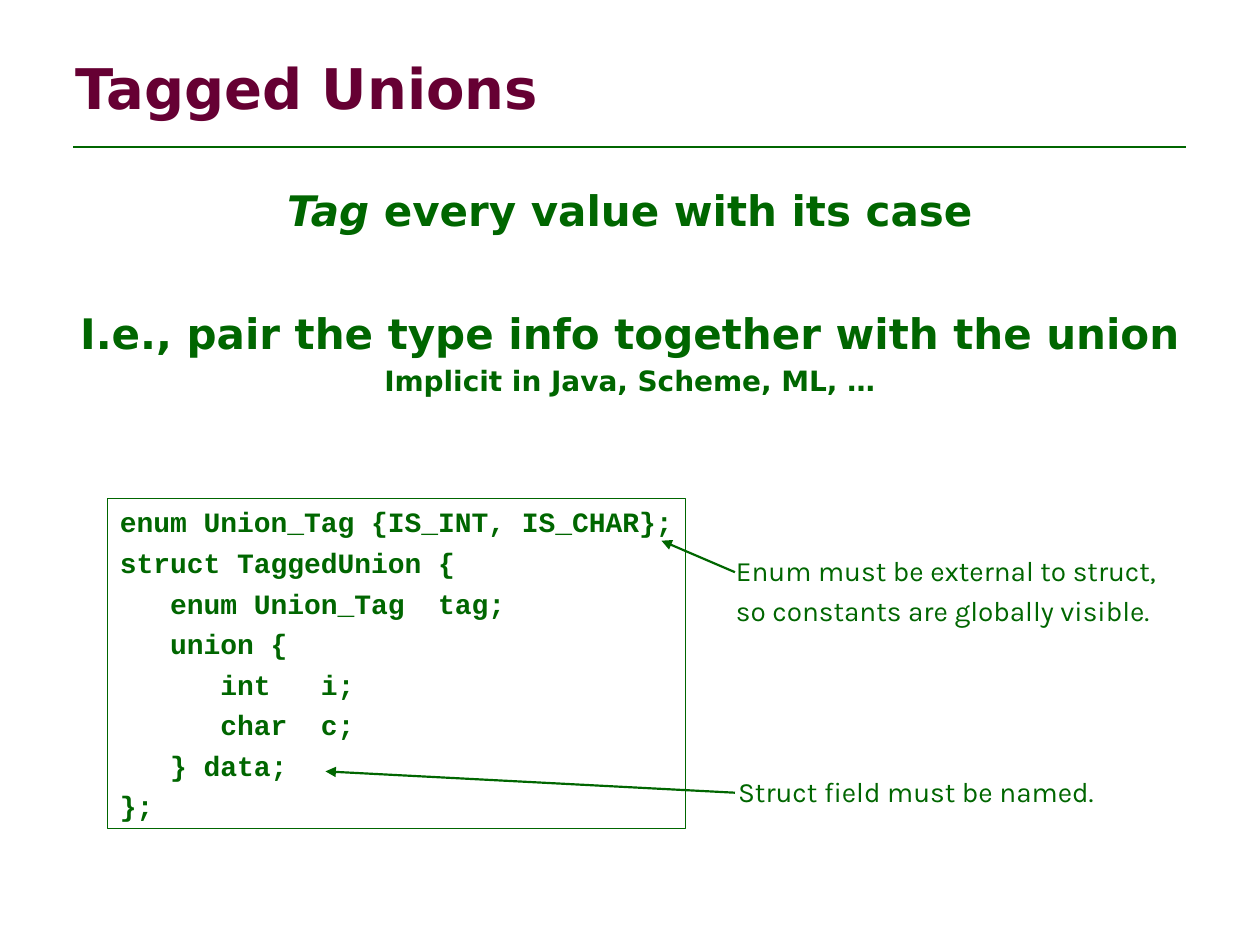
import pptx
import pptx.dml.color
import pptx.enum.shapes
import pptx.enum.text
import pptx.oxml
import pptx.oxml.ns
import pptx.util

Pt = pptx.util.Pt
ALIGN = pptx.enum.text.PP_ALIGN
ANCHOR = pptx.enum.text.MSO_ANCHOR

COLORS = {"title": "660033", "body": "006600"}
HEADING_FONT, CODE_FONT, NOTE_FONT = "DejaVu Sans", "Courier New", "Karla"

CODE = """enum Union_Tag {IS_INT, IS_CHAR};
struct TaggedUnion {
   enum Union_Tag  tag;
   union {
      int   i;
      char  c;
   } data;
};"""


class SlideBuilder:
    def __init__(self, slide):
        self.slide = slide

    def color(self, name):
        return pptx.dml.color.RGBColor.from_string(COLORS[name])

    def format_runs(self, paragraph, font, size, color="body", bold=False):
        for run in paragraph.runs:
            run.font.name = font
            run.font.size = Pt(size)
            run.font.bold = bold
            run.font.color.rgb = self.color(color)

    def text_box(self, left, top, width, height, text, wrap=True):
        shape = self.slide.shapes.add_textbox(Pt(left), Pt(top), Pt(width), Pt(height))
        shape.text_frame.word_wrap = wrap
        shape.text_frame.text = text
        return shape

    def title(self, text):
        frame = self.text_box(36, 21.6, 648, 56.2, text).text_frame
        frame.vertical_anchor = ANCHOR.MIDDLE
        self.format_runs(frame.paragraphs[0], HEADING_FONT, 32, "title", bold=True)

    def statements(self, items):
        """Stack centred lines given as (texts of the runs, size, space before)."""
        frame = self.text_box(36, 101.7, 648, 145.4, "").text_frame
        for index, (texts, size, space) in enumerate(items):
            paragraph = frame.add_paragraph() if index else frame.paragraphs[0]
            paragraph.alignment = ALIGN.CENTER
            paragraph.space_before = Pt(space)
            for text in texts:
                paragraph.add_run().text = text
            self.format_runs(paragraph, HEADING_FONT, size, bold=True)
        return frame

    def lines_of_text(self, frame, font, bold=False):
        for index, paragraph in enumerate(frame.paragraphs):
            paragraph.alignment = ALIGN.LEFT
            paragraph.space_before = Pt(4 if index else 0)
            self.format_runs(paragraph, font, 16, bold=bold)

    def note(self, left, top, width, height, text):
        shape = self.text_box(left, top, width, height, text, wrap=False)
        self.lines_of_text(shape.text_frame, NOTE_FONT)

    def code_box(self, left, top, width, height, code):
        shape = self.slide.shapes.add_shape(
            pptx.enum.shapes.MSO_SHAPE.RECTANGLE, Pt(left), Pt(top), Pt(width), Pt(height))
        shape.shadow.inherit = False
        shape.fill.background()
        shape.line.color.rgb = self.color("body")
        shape.line.width = Pt(0.75)
        shape.text_frame.word_wrap = False
        shape.text_frame.vertical_anchor = ANCHOR.TOP
        shape.text_frame.text = code
        self.lines_of_text(shape.text_frame, CODE_FONT, bold=True)

    def line(self, start, end, width, arrow=False):
        connector = self.slide.shapes.add_connector(
            pptx.enum.shapes.MSO_CONNECTOR.STRAIGHT,
            Pt(start[0]), Pt(start[1]), Pt(end[0]), Pt(end[1]))
        connector.line.color.rgb = self.color("body")
        connector.line.width = Pt(width)
        if arrow:
            head = pptx.oxml.parse_xml(
                f'<a:tailEnd {pptx.oxml.ns.nsdecls("a")} type="triangle"/>')
            connector.line._get_or_add_ln().append(head)
        effects = pptx.oxml.parse_xml(f'<a:effectLst {pptx.oxml.ns.nsdecls("a")}/>')
        connector._element.spPr.append(effects)


def main():
    presentation = pptx.Presentation()
    presentation.slide_width, presentation.slide_height = Pt(720), Pt(540)
    builder = SlideBuilder(presentation.slides.add_slide(presentation.slide_layouts[6]))

    builder.line((42, 84), (678, 84), 1.5)
    builder.title("Tagged Unions")
    frame = builder.statements([
        (["Tag", " every value with its case"], 24, 0),
        (["I.e., pair the type info together with the union"], 24, 41.4),
        (["Implicit in Java, Scheme, ML, …"], 16, 3.5),
    ])
    frame.paragraphs[0].runs[0].font.italic = True

    builder.note(413.5, 312.5, 260, 49.7,
                 "Enum must be external to struct,\nso constants are globally visible.")
    builder.line((420, 327), (378, 309), 1.25, arrow=True)
    builder.note(414.7, 438.8, 221.8, 26.6, "Struct field must be named.")
    builder.line((420, 453), (186, 440.8), 1.25, arrow=True)
    builder.code_box(61.4, 285, 330.5, 188.6, CODE)

    presentation.save("out.pptx")


if __name__ == "__main__":
    main()
